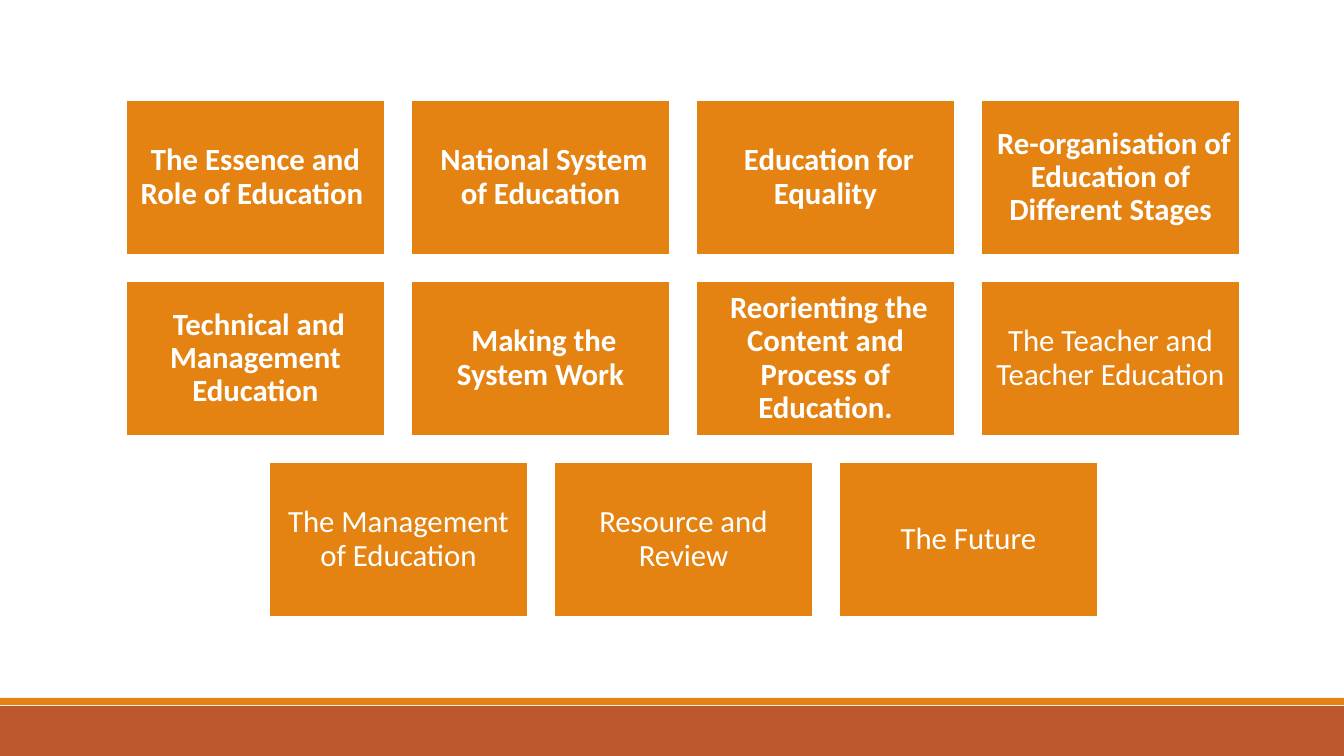
import pptx
import pptx.util
import pptx.dml.color
import pptx.enum.shapes
import pptx.enum.text

PX = 914400 / 100.8
ORANGE, RUST, WHITE = "E48312", "BD582C", "FFFFFF"
BOX_W, BOX_H, GAP = 259, 155, 26
CENTER_X, TOP = 683, 100

ROWS = [
    [("The Essence and Role of Education ", True),
     (" National System of Education", True),
     (" Education for Equality", True),
     (" Re-organisation of Education of Different Stages", True)],
    [(" Technical and Management Education", True),
     (" Making the System Work", True),
     (" Reorienting the Content and Process of Education.", True),
     ("The Teacher and Teacher Education", False)],
    [("The Management of Education", False),
     ("Resource and Review", False),
     ("The Future", False)],
]


def px(n):
    return pptx.util.Emu(round(n * PX))


def color(value):
    return pptx.dml.color.RGBColor.from_string(value)


def add_rect(s, x, y, w, h, fill):
    sp = s.shapes.add_shape(pptx.enum.shapes.MSO_SHAPE.RECTANGLE,
                            px(x), px(y), px(w), px(h))
    sp.shadow.inherit = False
    sp.fill.solid()
    sp.fill.fore_color.rgb = color(fill)
    sp.line.fill.background()
    return sp


def add_topic(s, x, y, text, bold):
    sp = add_rect(s, x, y, BOX_W, BOX_H, ORANGE)
    sp.line.color.rgb = color(WHITE)
    sp.line.width = pptx.util.Pt(1.25)
    tf = sp.text_frame
    tf.word_wrap = True
    tf.vertical_anchor = pptx.enum.text.MSO_ANCHOR.MIDDLE
    tf.margin_left = tf.margin_right = tf.margin_top = tf.margin_bottom = px(9)
    p = tf.paragraphs[0]
    p.alignment = pptx.enum.text.PP_ALIGN.CENTER
    p.line_spacing = 0.9
    r = p.add_run()
    r.text = text
    r.font.name = "Calibri"
    r.font.size = pptx.util.Pt(22)
    r.font.bold = bold
    r.font.color.rgb = color(WHITE)


def add_row(s, y, topics):
    width = len(topics) * (BOX_W + GAP) - GAP
    left = CENTER_X - width // 2
    for i, (text, bold) in enumerate(topics):
        add_topic(s, left + i * (BOX_W + GAP), y, text, bold)


def main():
    prs = pptx.Presentation()
    prs.slide_width, prs.slide_height = px(1344), px(756)
    s = prs.slides.add_slide(prs.slide_layouts[6])
    add_rect(s, 0, 706, 1344, 50, RUST)
    add_rect(s, 0, 698, 1344, 7, ORANGE)
    for i, topics in enumerate(ROWS):
        add_row(s, TOP + i * (BOX_H + GAP), topics)
    prs.save("out.pptx")


if __name__ == "__main__":
    main()
